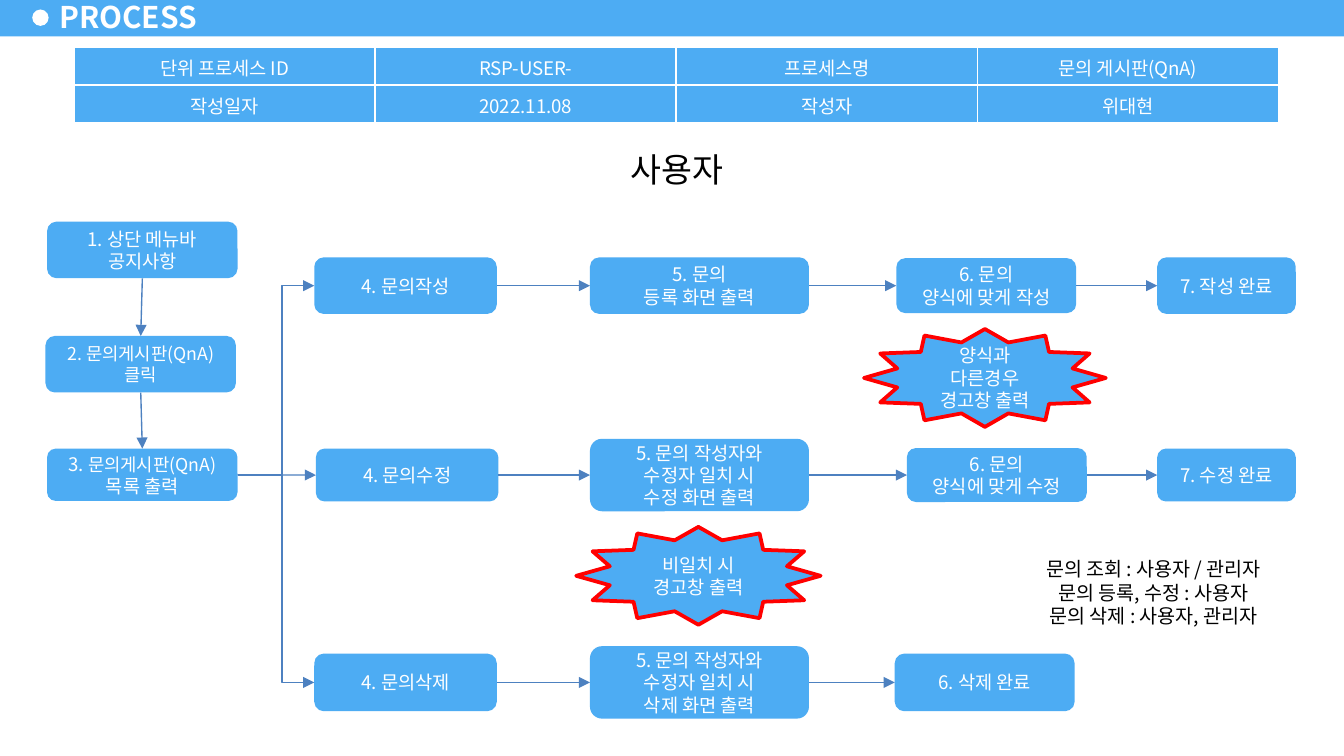
from lxml.etree import SubElement
from pptx import Presentation
from pptx.dml.color import RGBColor
from pptx.enum.shapes import MSO_CONNECTOR, MSO_SHAPE
from pptx.enum.text import MSO_ANCHOR, PP_ALIGN
from pptx.oxml.ns import qn
from pptx.util import Cm, Pt

FONT = "Noto Sans CJK KR"
HUES = {"blue": "4DACF3", "link": "4D81C0", "red": "FF0000",
        "white": "FFFFFF", "black": "000000"}
TOP, LEFT, BOTTOM, RIGHT = range(4)  # connection sites of a step

# Left, width of the four columns of a lane, relative to the lane
COLS = [(0, 3.45), (5.21, 4.14), (11, 3.4), (15.93, 2.62)]


def hue(name):
    return RGBColor.from_string(HUES[name])


def write(frame, text, size=10, color="white", bold=False,
          align=PP_ALIGN.CENTER):
    """Fill a text frame, one paragraph a line."""
    frame.text = text
    for para in frame.paragraphs:
        para.alignment = align
        font = para.font
        font.size, font.bold, font.name = Pt(size), bold, FONT
        font.color.rgb = hue(color)
        props = para._p.pPr.find(qn("a:defRPr"))
        SubElement(props, qn("a:ea"), typeface=FONT)


def shape(slide, kind, box, fill="blue", edge=None):
    item = slide.shapes.add_shape(kind, *map(Cm, box))
    item.shadow.inherit = False
    item.fill.solid()
    item.fill.fore_color.rgb = hue(fill)
    if edge:
        item.line.color.rgb = hue(edge)
        item.line.width = Pt(2)
    else:
        item.line.fill.background()
    item.text_frame.word_wrap = True
    item.text_frame.vertical_anchor = MSO_ANCHOR.MIDDLE
    return item


def step(slide, box, text, size=10):
    item = shape(slide, MSO_SHAPE.ROUNDED_RECTANGLE, box)
    write(item.text_frame, text, size)
    return item


def alert(slide, box, text):
    item = shape(slide, MSO_SHAPE.STAR_12_POINT, box, edge="red")
    write(item.text_frame, text)


def label(slide, box, text, size):
    item = slide.shapes.add_textbox(*map(Cm, box))
    item.fill.solid()
    item.fill.fore_color.rgb = hue("white")
    item.text_frame.word_wrap = True
    write(item.text_frame, text, size, "black")


def link(slide, start, out, end, into, bend=None):
    """Arrow between two steps; bend is the share of width before the turn."""
    kind = MSO_CONNECTOR.ELBOW if bend else MSO_CONNECTOR.STRAIGHT
    line = slide.shapes.add_connector(kind, 0, 0, 0, 0)
    line.begin_connect(start, out)
    line.end_connect(end, into)
    line.line.color.rgb = hue("link")
    line.line.width = Pt(0.75)
    props = line._element.spPr
    SubElement(props.find(qn("a:ln")), qn("a:tailEnd"), type="triangle")
    SubElement(props, qn("a:effectLst"))
    if bend:
        guides = props.find(qn("a:prstGeom")).find(qn("a:avLst"))
        SubElement(guides, qn("a:gd"), name="adj1",
                   fmla=f"val {round(bend * 100000)}")


def head(slide, x, y, w, h):
    """Title bar with a dot."""
    shape(slide, MSO_SHAPE.RECTANGLE, (x, y, w, h))
    shape(slide, MSO_SHAPE.OVAL, (x + 0.61, y + 0.18, 0.31, 0.31), "white")
    title = slide.shapes.add_textbox(
        Cm(x + 0.87), Cm(y - 0.1), Cm(3.1), Cm(0.82))
    title.text_frame.vertical_anchor = MSO_ANCHOR.MIDDLE
    write(title.text_frame, "PROCESS", 16, bold=True, align=PP_ALIGN.LEFT)


def facts(slide, x, y, w, h):
    """Table that describes the process."""
    rows = [["단위 프로세스 ID", "RSP-USER-", "프로세스명", "문의 게시판(QnA)"],
            ["작성일자", "2022.11.08", "작성자", "위대현"]]
    table = slide.shapes.add_table(
        len(rows), len(rows[0]), Cm(x), Cm(y), Cm(w), Cm(h)).table
    for i, row in enumerate(rows):
        for j, text in enumerate(row):
            cell = table.cell(i, j)
            write(cell.text_frame, text)
            cell.vertical_anchor = MSO_ANCHOR.MIDDLE
            props = cell._tc.get_or_add_tcPr()
            for side in ("lnL", "lnR", "lnT", "lnB"):
                edge = SubElement(props, qn(f"a:{side}"), w=str(Pt(1)))
                fill = SubElement(edge, qn("a:solidFill"))
                SubElement(fill, qn("a:srgbClr"), val=HUES["white"])
            cell.fill.solid()
            cell.fill.fore_color.rgb = hue("blue")


def entry(slide, x, y, w):
    """Column of first steps; returns the last one."""
    menu = step(slide, (x + 0.03, y, w, 1.07), "1. 상단 메뉴바 공지사항")
    board = step(slide, (x, y + 2.16, w, 1.07), "2. 문의게시판(QnA) 클릭", 9.5)
    posts = step(slide, (x + 0.03, y + 4.29, w, 0.99), "3. \n목록 출력")
    run = posts.text_frame.paragraphs[0].add_run()
    run.text = "문의게시판(QnA)"
    run.font.size = Pt(9.5)
    link(slide, menu, BOTTOM, board, TOP)
    link(slide, board, BOTTOM, posts, TOP)
    return posts


def lane(slide, x, mid, steps):
    """Row of linked steps (text, height, shift); returns the first one."""
    items = []
    for (left, w), (text, h, shift) in zip(COLS, steps):
        items.append(step(slide, (x + left + shift, mid - h / 2, w, h), text))
    for a, b in zip(items, items[1:]):
        link(slide, a, RIGHT, b, LEFT)
    return items[0]


def flow(slide, x, y):
    """Whole process: first steps, three lanes, warnings."""
    posts = entry(slide, x, y, 3.6)
    lanes = [
        (1.21, 0.58, [("4. 문의작성", 1.07, 0),
                      ("5. 문의\n등록 화면 출력", 1.07, 0),
                      ("6. 문의\n양식에 맞게 작성", 1.04, 0),
                      ("7. 작성 완료", 1.07, 0)]),
        (4.79, 0.58, [("4. 문의수정", 1, 0.03),
                      ("5. 문의 작성자와\n수정자 일치 시\n수정 화면 출력", 1.37, 0),
                      ("6. 문의\n양식에 맞게 수정", 1.02, 0.2),
                      ("7. 수정 완료", 1, 0)]),
        (8.71, 0.58, [("4. 문의삭제", 1.09, 0),
                      ("5. 문의 작성자와\n수정자 일치 시\n삭제 화면 출력", 1.37, 0),
                      ("6. 삭제 완료", 1.09, -0.03)]),
    ]
    for i, (mid, bend, steps) in enumerate(lanes):
        first = lane(slide, x + 5.08, y + mid, steps)
        link(slide, posts, RIGHT, first, LEFT, None if i == 1 else bend)
    alert(slide, (x + 15.47, y + 2.03, 4.57, 1.85),
          "양식과\n다른경우\n경고창 출력")
    alert(slide, (x + 10.03, y + 5.77, 4.62, 1.85),
          "비일치 시\n경고창 출력")


def main():
    deck = Presentation()
    deck.slide_width, deck.slide_height = Cm(25.4), Cm(14.29)
    slide = deck.slides.add_slide(deck.slide_layouts[6])
    head(slide, 0, 0, 25.4, 0.69)
    facts(slide, 1.4, 0.9, 22.76, 1.42)
    label(slide, (8.26, 2.69, 9.07, 1.03), "사용자", 18)
    flow(slide, 0.86, 4.19)
    label(slide, (18.64, 10.41, 6.32, 1.6),
          "문의 조회 : 사용자 / 관리자\n문의 등록, 수정 : 사용자\n"
          "문의 삭제 : 사용자, 관리자", 10.5)
    deck.save("out.pptx")


if __name__ == "__main__":
    main()
